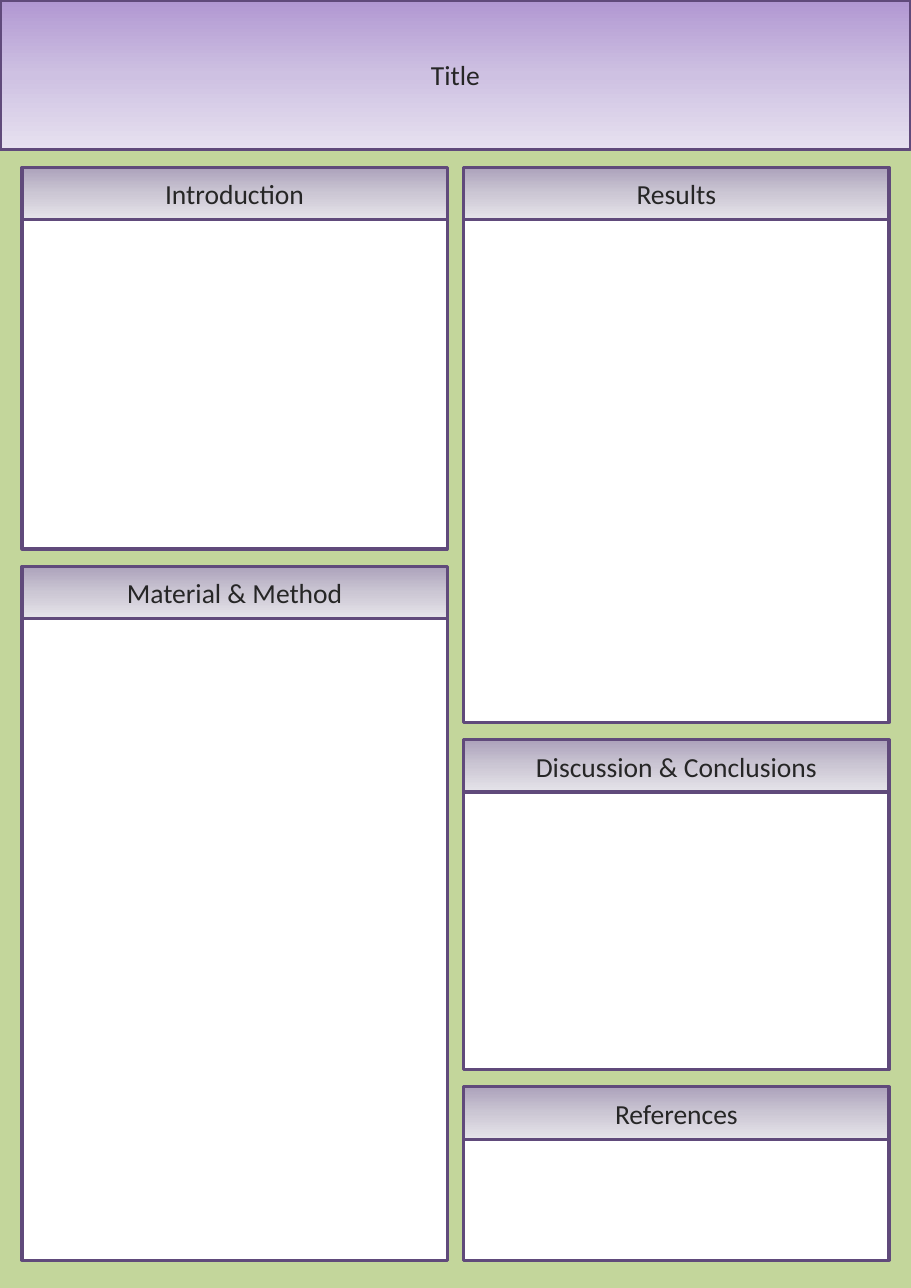
from copy import deepcopy

from pptx import Presentation
from pptx.dml.color import RGBColor
from pptx.enum.shapes import MSO_SHAPE
from pptx.enum.text import MSO_ANCHOR, PP_ALIGN
from pptx.util import Pt

RECT = MSO_SHAPE.RECTANGLE
MIDDLE = MSO_ANCHOR.MIDDLE
CENTER = PP_ALIGN.CENTER

COLORS = {
    "page": "C3D69B",
    "line": "604A7B",
    "text": "262626",
    "body": "FFFFFF",
}
TITLE_FADE = ("B197D2", "CEC1E2", "E7E1F0")
HEAD_FADE = ("ACA2BB", "CCC7D4", "E6E4EA")

PAGE_W, PAGE_H = 595.44, 841.68
TITLE_H = 97.9
TOP, GAP = 109.4, 11.3
CARD_W, HEAD_H = 277.9, 34.1

# Left edge of each column, then its headings with the heights of their bodies
COLUMNS = [
    (14.4, [("Introduction", 215.3), ("Material & Method", 419.4)]),
    (303.2, [("Results", 328.7), ("Discussion & Conclusions", 181.4),
             ("References", 79.2)]),
]


def rgb(name):
    return RGBColor.from_string(COLORS[name])


def outline(shape):
    shape.shadow.inherit = False
    shape.line.color.rgb = rgb("line")
    shape.line.width = Pt(2)


def fade(shape, tones):
    """Fill the shape from top to bottom with three evenly spaced tones."""
    fill = shape.fill
    fill.gradient()
    fill.gradient_angle = 270
    first = shape._element.spPr.xpath("./a:gradFill/a:gsLst/a:gs")[0]
    first.addnext(deepcopy(first))
    for i, (stop, tone) in enumerate(zip(fill.gradient_stops, tones)):
        stop.position = i / 2
        stop.color.rgb = RGBColor.from_string(tone)


def label(shape, text):
    frame = shape.text_frame
    frame.text = text
    frame.vertical_anchor = MIDDLE
    line = frame.paragraphs[0]
    line.alignment = CENTER
    font = line.runs[0].font
    font.name = "Calibri"
    font.size = Pt(18)
    font.color.rgb = rgb("text")


def banner(slide, text):
    title = slide.shapes.title
    title.left, title.top = Pt(0), Pt(0)
    title.width, title.height = Pt(PAGE_W), Pt(TITLE_H)
    outline(title)
    fade(title, TITLE_FADE)
    label(title, text)


def box(slide, x, y, height):
    shape = slide.shapes.add_shape(RECT, Pt(x), Pt(y), Pt(CARD_W), Pt(height))
    outline(shape)
    return shape


def card(slide, x, y, text, height):
    head = box(slide, x, y, HEAD_H)
    fade(head, HEAD_FADE)
    label(head, text)
    body = box(slide, x, y + HEAD_H, height)
    body.fill.solid()
    body.fill.fore_color.rgb = rgb("body")


def main():
    deck = Presentation()
    deck.slide_width, deck.slide_height = Pt(PAGE_W), Pt(PAGE_H)
    slide = deck.slides.add_slide(deck.slide_layouts[5])
    page = slide.background.fill
    page.solid()
    page.fore_color.rgb = rgb("page")

    banner(slide, "Title")
    for x, cards in COLUMNS:
        y = TOP
        for text, height in cards:
            card(slide, x, y, text, height)
            y += HEAD_H + height + GAP
    deck.save("out.pptx")


if __name__ == "__main__":
    main()
